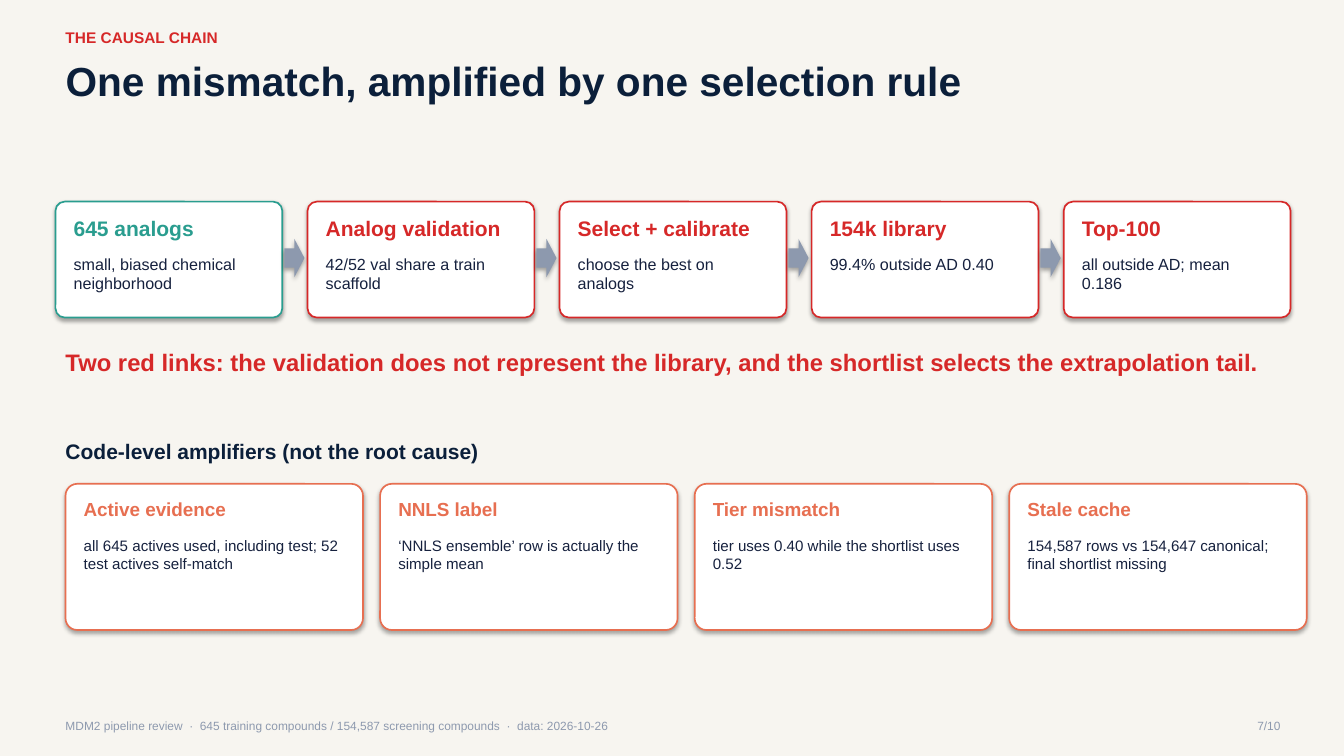
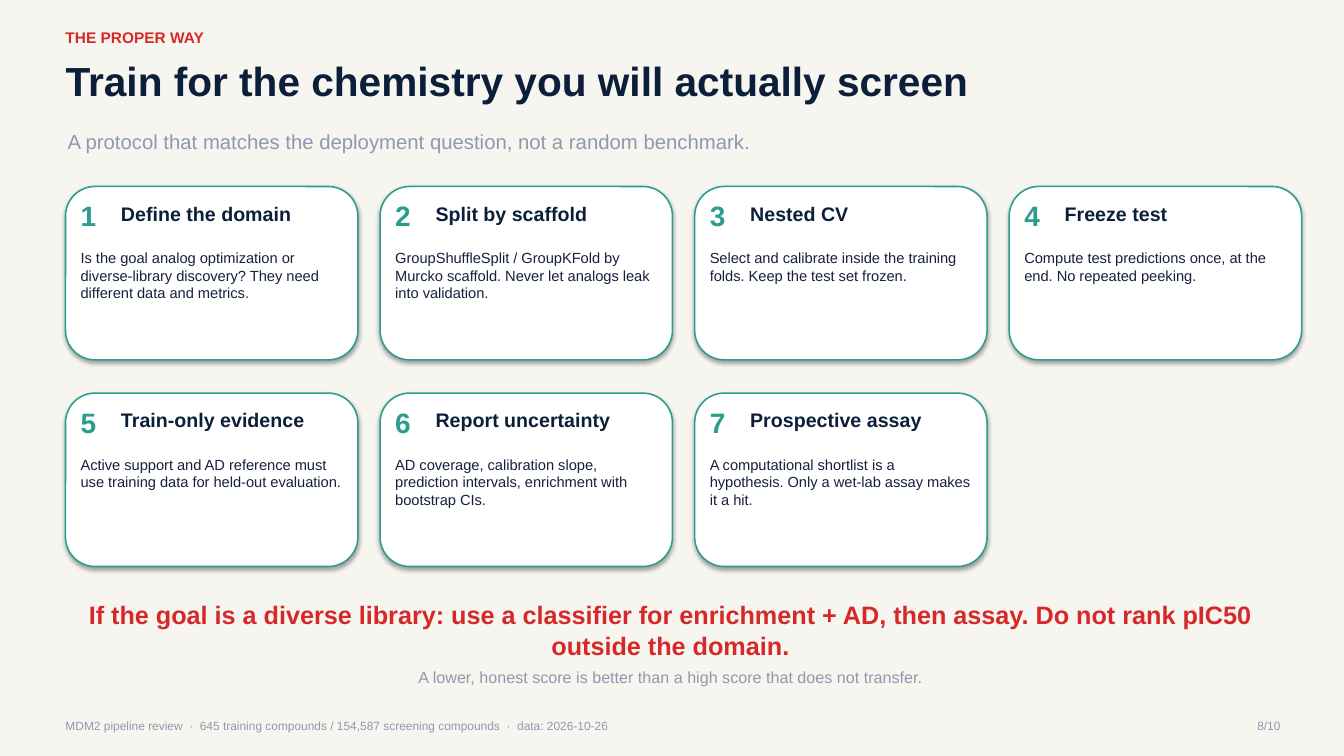
"""Build two slides on the causal chain and the proper training protocol."""
from pptx import Presentation
from pptx.dml.color import RGBColor
from pptx.enum.shapes import MSO_SHAPE
from pptx.enum.text import MSO_ANCHOR, MSO_AUTO_SIZE, PP_ALIGN
from pptx.util import Inches, Pt

ROUNDED, ARROW = MSO_SHAPE.ROUNDED_RECTANGLE, MSO_SHAPE.RIGHT_ARROW
LEFT, CENTER, RIGHT = PP_ALIGN.LEFT, PP_ALIGN.CENTER, PP_ALIGN.RIGHT
TOP, FIT = MSO_ANCHOR.TOP, MSO_AUTO_SIZE.SHAPE_TO_FIT_TEXT

THEME = {
    "font": "Arial",
    "colors": {
        "paper": "F7F5F0", "white": "FFFFFF", "navy": "0B1F3A", "ink": "16213E",
        "red": "D62828", "teal": "2A9D8F", "orange": "E76F51", "gray": "8D99AE",
    },
    "styles": {
        "kicker": (11, True, "red"),
        "title": (29, True, "navy"),
        "subtitle": (14.5, False, "gray"),
        "heading": (15, True, "navy"),
        "finding": (17, True, "red"),
        "conclusion": (18, True, "red"),
        "remark": (11.5, False, "gray"),
        "footer": (8.5, False, "gray"),
        "chain_body": (11.5, False, "ink"),
        "amplifier_head": (13.5, True, "orange"),
        "amplifier_body": (10.8, False, "ink"),
        "step_number": (20, True, "teal"),
        "step_head": (14, True, "navy"),
        "step_body": (10.5, False, "ink"),
    },
}
COLORS = {name: RGBColor.from_string(code) for name, code in THEME["colors"].items()}
FRAME = {
    "margin_left": 0, "margin_top": 0, "margin_right": 0, "margin_bottom": 0,
    "word_wrap": True, "vertical_anchor": TOP, "auto_size": FIT,
}
MARGIN, WIDTH = 0.65, 12
GRID_STEP = 3.12
FOOTER = ("MDM2 pipeline review  ·  645 training compounds / 154,587 screening compounds"
          "  ·  data: 2026-10-26")


def write(s, at, text, style, color=None, align=LEFT, sp=None):
    box = [Inches(v) for v in at]
    sp = sp or s.shapes.add_textbox(*box)
    sp.left, sp.top, sp.width, sp.height = box
    tf = sp.text_frame
    for name, value in FRAME.items():
        setattr(tf, name, value)
    p = tf.paragraphs[0]
    p.alignment = align
    r = p.add_run()
    r.text = text
    size, bold, default_color = THEME["styles"][style]
    font = {"name": THEME["font"], "size": Pt(size), "bold": bold}
    for name, value in font.items():
        setattr(r.font, name, value)
    r.font.color.rgb = COLORS[color or default_color]


def add_card(s, at, color, line_width, radius):
    sp = s.shapes.add_shape(ROUNDED, *[Inches(v) for v in at])
    sp.adjustments[0] = radius
    sp.fill.solid()
    sp.fill.fore_color.rgb = COLORS["white"]
    sp.line.color.rgb = COLORS[color]
    sp.line.width = Pt(line_width)


prs = Presentation()
prs.slide_width, prs.slide_height = Inches(13.33), Inches(7.5)
background = prs.slide_master.background.fill
background.solid()
background.fore_color.rgb = COLORS["paper"]

headers = [
    ("THE CAUSAL CHAIN", "One mismatch, amplified by one selection rule", "7/10"),
    ("THE PROPER WAY", "Train for the chemistry you will actually screen", "8/10"),
]
for kicker, title, page in headers:
    s = prs.slides.add_slide(prs.slide_layouts[5])
    write(s, (MARGIN, 0.28, WIDTH, 0.18), kicker, "kicker")
    write(s, (MARGIN, 0.55, WIDTH, 0.48), title, "title", sp=s.shapes.title)
    write(s, (MARGIN, 7.13, 11, 0.14), FOOTER, "footer")
    write(s, (12.2, 7.13, 0.5, 0.14), page, "footer", align=RIGHT)
chain_slide, protocol_slide = prs.slides

s = chain_slide
chain = [
    ("645 analogs", "small, biased chemical neighborhood", "teal"),
    ("Analog validation", "42/52 val share a train scaffold", "red"),
    ("Select + calibrate", "choose the best on analogs", "red"),
    ("154k library", "99.4% outside AD 0.40", "red"),
    ("Top-100", "all outside AD; mean 0.186", "red"),
]
for i, (head, body, color) in enumerate(chain):
    x = 0.55 + i * 2.5
    add_card(s, (x, 2, 2.25, 1.15), color, 1.2, 0.08)
    write(s, (x + 0.18, 2.14, 1.89, 0.25), head, "heading", color)
    write(s, (x + 0.18, 2.52, 1.89, 0.38), body, "chain_body")
    if i < len(chain) - 1:
        sp = s.shapes.add_shape(ARROW, Inches(x + 2.27), Inches(2.37), Inches(0.2), Inches(0.38))
        sp.fill.solid()
        sp.fill.fore_color.rgb = COLORS["gray"]
        sp.line.fill.background()

write(s, (MARGIN, 3.45, WIDTH, 0.28),
      "Two red links: the validation does not represent the library, "
      "and the shortlist selects the extrapolation tail.", "finding")
write(s, (MARGIN, 4.35, WIDTH, 0.25), "Code-level amplifiers (not the root cause)", "heading")

amplifiers = [
    ("Active evidence", "all 645 actives used, including test; 52 test actives self-match"),
    ("NNLS label", "‘NNLS ensemble’ row is actually the simple mean"),
    ("Tier mismatch", "tier uses 0.40 while the shortlist uses 0.52"),
    ("Stale cache", "154,587 rows vs 154,647 canonical; final shortlist missing"),
]
for i, (head, body) in enumerate(amplifiers):
    x = MARGIN + i * GRID_STEP
    add_card(s, (x, 4.8, 2.95, 1.45), "orange", 1.2, 0.08)
    write(s, (x + 0.18, 4.94, 2.59, 0.23), head, "amplifier_head")
    write(s, (x + 0.18, 5.32, 2.59, 0.36), body, "amplifier_body")

s = protocol_slide
write(s, (0.67, 1.28, 11.8, 0.24),
      "A protocol that matches the deployment question, not a random benchmark.", "subtitle")
steps = [
    ("Define the domain", "Is the goal analog optimization or diverse-library discovery? "
     "They need different data and metrics."),
    ("Split by scaffold", "GroupShuffleSplit / GroupKFold by Murcko scaffold. "
     "Never let analogs leak into validation."),
    ("Nested CV", "Select and calibrate inside the training folds. Keep the test set frozen."),
    ("Freeze test", "Compute test predictions once, at the end. No repeated peeking."),
    ("Train-only evidence", "Active support and AD reference must use training data "
     "for held-out evaluation."),
    ("Report uncertainty", "AD coverage, calibration slope, prediction intervals, "
     "enrichment with bootstrap CIs."),
    ("Prospective assay", "A computational shortlist is a hypothesis. "
     "Only a wet-lab assay makes it a hit."),
]
for i, (head, body) in enumerate(steps):
    row, col = divmod(i, 4)
    x, y = MARGIN + col * GRID_STEP, 1.85 + row * 2.05
    add_card(s, (x, y, 2.9, 1.72), "teal", 1.1, 0.17)
    write(s, (x + 0.15, y + 0.12, 0.5, 0.33), str(i + 1), "step_number")
    write(s, (x + 0.55, y + 0.15, 2.25, 0.23), head, "step_head")
    write(s, (x + 0.15, y + 0.62, 2.6, 0.52), body, "step_body")

write(s, (MARGIN, 5.95, WIDTH, 0.6),
      "If the goal is a diverse library: use a classifier for enrichment + AD, then assay. "
      "Do not rank pIC50 outside the domain.", "conclusion", align=CENTER)
write(s, (MARGIN, 6.62, WIDTH, 0.19),
      "A lower, honest score is better than a high score that does not transfer.",
      "remark", align=CENTER)

prs.save("out.pptx")
